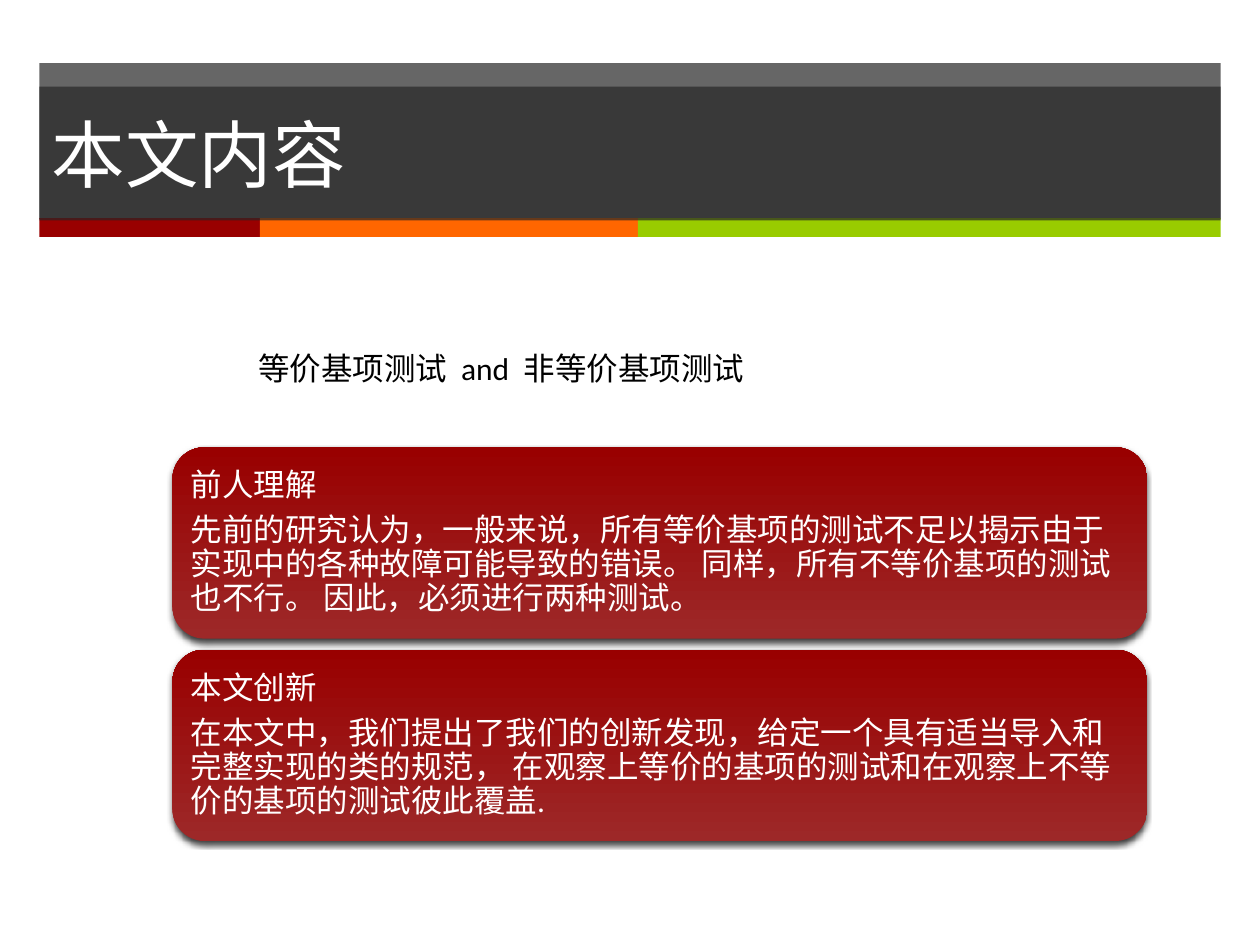
import pptx
import pptx.util
import pptx.dml.color
import pptx.enum.shapes
import pptx.enum.text
import pptx.oxml
import pptx.oxml.ns

Pt = pptx.util.Pt
rgb = pptx.dml.color.RGBColor.from_string
kinds = pptx.enum.shapes.MSO_SHAPE
mid = pptx.enum.text.MSO_ANCHOR.MIDDLE

theme = {
    "dark": "262626", "white": "FFFFFF", "black": "000000",
    "stripes": ["990000", "FF6600", "99CC00"],
    "card": ["9D2828", "990000"],
    "head": "Cabin", "body": "Calibri",
    "big": 42, "small": 18, "alpha": 70,
}

deck = pptx.Presentation()
deck.slide_width = pptx.util.Inches(10)
deck.slide_height = pptx.util.Inches(7.5)
slide = deck.slides.add_slide(deck.slide_layouts[6])
unit = deck.slide_width / 160  # square grid, 160 columns by 120 rows


def draw(kind, box, color=None, alpha=None):
    """Add a shape, or a text box when kind is None, on the grid."""
    place = [round(n * unit) for n in box]
    if kind is None:
        return slide.shapes.add_textbox(*place)
    shape = slide.shapes.add_shape(kind, *place)
    shape.shadow.inherit = False
    shape.line.fill.background()
    if color:
        shape.fill.solid()
        shape.fill.fore_color.rgb = rgb(color)
    if alpha:
        tint = shape.fill._xPr.find(".//" + pptx.oxml.ns.qn("a:srgbClr"))
        tint.append(pptx.oxml.parse_xml(
            f'<a:alpha {pptx.oxml.ns.nsdecls("a")} val="{alpha * 1000}"/>'))
    return shape


def write(shape, lines, font, size, color, frame, para):
    """Fill a shape with paragraphs; frame and para hold format values."""
    text = shape.text_frame
    for key, val in frame.items():
        setattr(text, key, val)
    for i, line in enumerate(lines):
        part = text.add_paragraph() if i else text.paragraphs[0]
        part.alignment = pptx.enum.text.PP_ALIGN.LEFT
        for key, val in para.items():
            setattr(part, key, val)
        run = part.add_run()
        run.text = line
        run.font.name = font
        run.font.size = Pt(size)
        run.font.color.rgb = rgb(color)


# Header band and its colour stripes
left, width = 5, 150
draw(kinds.RECTANGLE, (left, 8, width, 19.8), theme["dark"], theme["alpha"])
x = left
for color, span in zip(theme["stripes"], (28, 48, 74)):
    draw(kinds.RECTANGLE, (x, 27.7, span, 2.4), color)
    x += span

# Title
title = draw(kinds.RECTANGLE, (left, 11, width, 17), theme["dark"], theme["alpha"])
write(title, ["本文内容"], theme["head"], theme["big"], theme["white"],
      {"word_wrap": True, "vertical_anchor": mid}, {})

# Cards
cards = [
    ("前人理解",
     "先前的研究认为，一般来说，所有等价基项的测试不足以揭示由于实现中的各种故障可能导致的错误。 "
     "同样，所有不等价基项的测试也不行。 因此，必须进行两种测试。"),
    ("本文创新",
     "在本文中，我们提出了我们的创新发现，给定一个具有适当导入和完整实现的类的规范， "
     "在观察上等价的基项的测试和在观察上不等价的基项的测试彼此覆盖."),
]
shade = (
    f'<a:outerShdw {pptx.oxml.ns.nsdecls("a")} blurRad="{Pt(3)}" dist="{Pt(2)}" '
    f'dir="{110 * 60000}" rotWithShape="0"><a:srgbClr val="{theme["black"]}">'
    '<a:alpha val="75000"/></a:srgbClr></a:outerShdw>')
sides = ("left", "top", "right", "bottom")
frame = {f"margin_{side}": Pt(5) for side in sides}
frame.update(word_wrap=True, vertical_anchor=mid)
para = {"line_spacing": 0.9, "space_after": Pt(6.3)}
left, top, width, high, step, pad = 21.9, 56.8, 123.8, 24.3, 25.7, 1.2

for i, lines in enumerate(cards):
    y = top + i * step
    card = draw(kinds.ROUNDED_RECTANGLE, (left, y, width, high))
    card.fill.gradient()
    card.fill.gradient_angle = 90
    for j, (stop, color) in enumerate(zip(card.fill.gradient_stops, theme["card"])):
        stop.position = j
        stop.color.rgb = rgb(color)
    glow = card.element.spPr.find(pptx.oxml.ns.qn("a:effectLst"))
    glow.append(pptx.oxml.parse_xml(shade))
    label = draw(None, (left + pad, y + pad, width - 2 * pad, high - 2 * pad))
    write(label, lines, theme["body"], theme["small"], theme["white"], frame, para)

# Lead line
lead = draw(None, (31.2, 43.5, 75.2, 6.4))
write(lead, ["等价基项测试  and  非等价基项测试"], theme["body"], theme["small"],
      theme["black"], {"word_wrap": True}, {})

deck.save("out.pptx")
